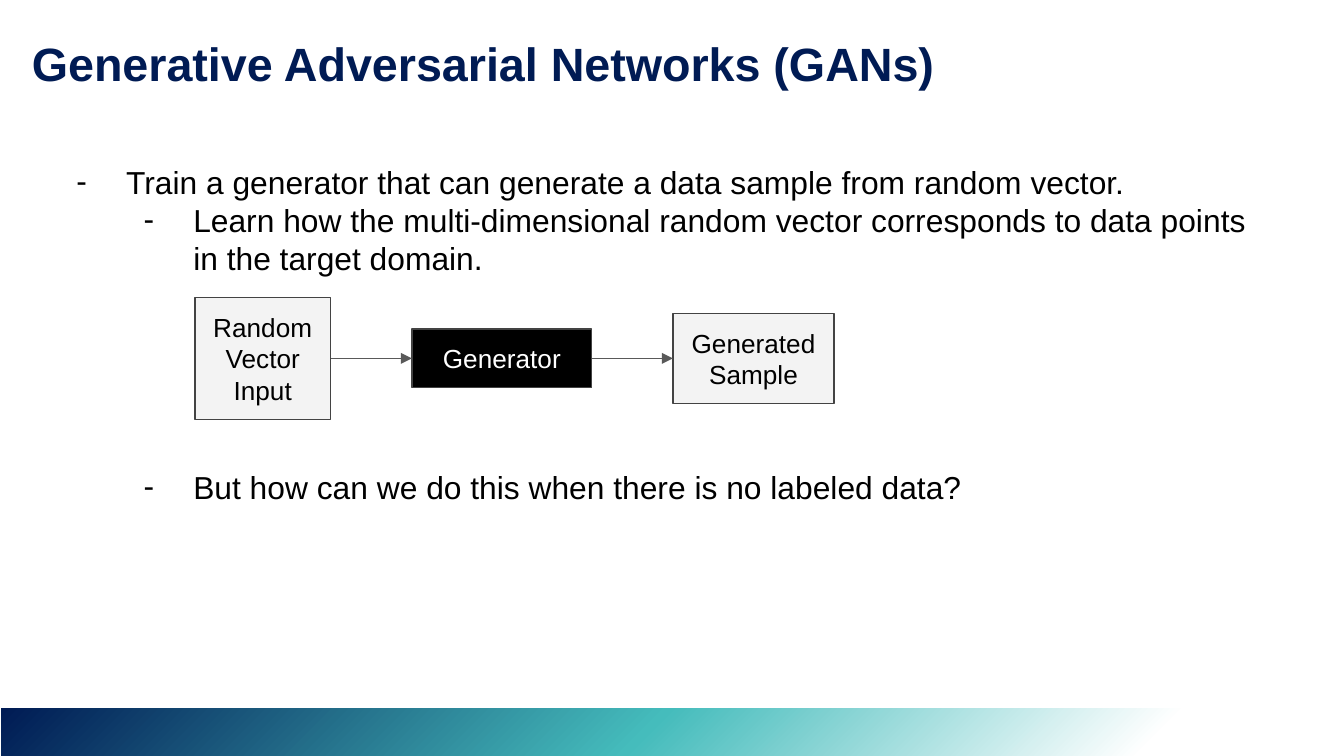
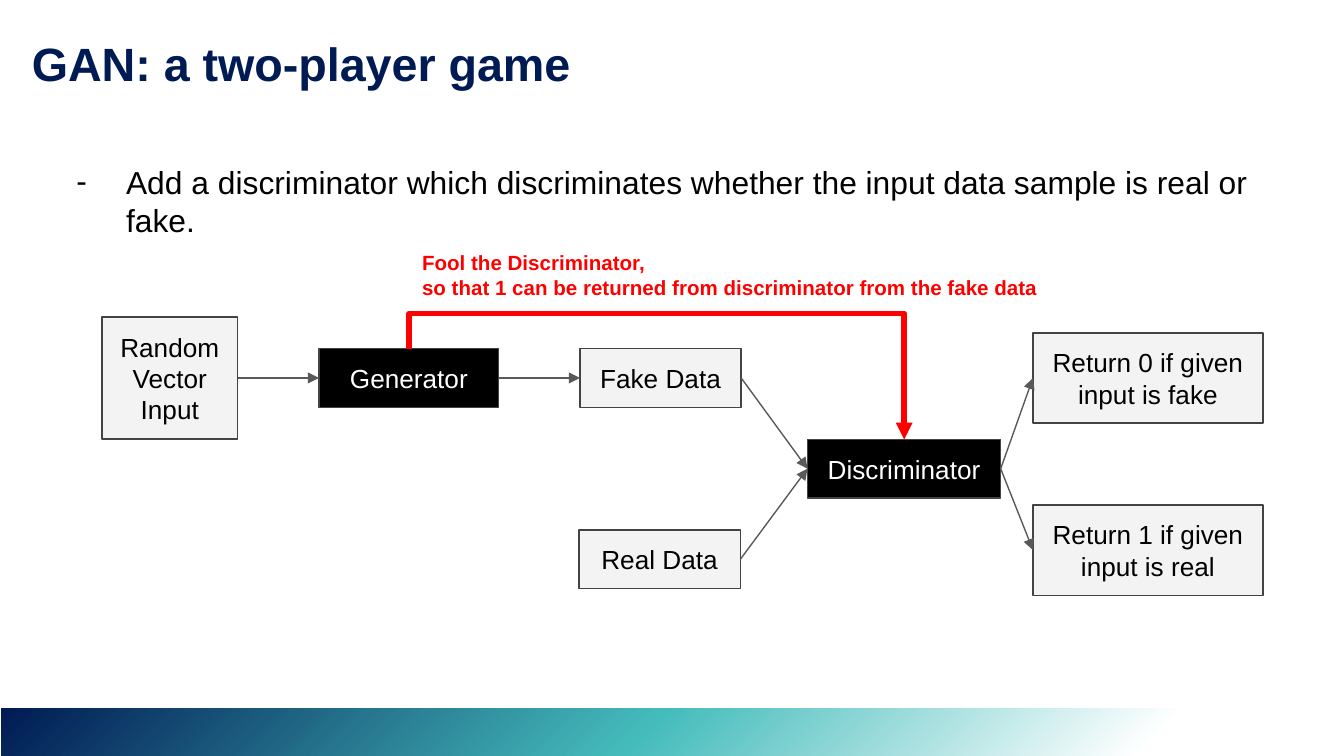
from lxml.etree import SubElement
from pptx import Presentation
from pptx.dml.color import RGBColor
from pptx.enum.shapes import MSO_CONNECTOR, MSO_SHAPE
from pptx.enum.text import MSO_ANCHOR, MSO_AUTO_SIZE, PP_ALIGN
from pptx.oxml import parse_xml
from pptx.oxml.ns import nsdecls, qn
from pptx.util import Pt

FONT = "Arial"
NAVY, TEAL, WHITE, BLACK = "001B54", "45BCBC", "FFFFFF", "000000"
PALE, EDGE, ARROW, RED = "F3F3F3", "434343", "595959", "FF0000"
INSET = 7.2
TOP, LEFT, BOTTOM, RIGHT = range(4)


def rgb(value):
    """Turn a hex string into a colour."""
    return RGBColor.from_string(value)


def write(tf, lines, size, color, bold=False, align=PP_ALIGN.LEFT):
    """Fill a text frame with paragraphs in one style."""
    tf.word_wrap = True
    tf.margin_left = tf.margin_right = tf.margin_top = tf.margin_bottom = Pt(INSET)
    tf.text = "\n".join(lines)
    for p in tf.paragraphs:
        p.alignment = align
        for r in p.runs:
            r.font.name, r.font.size, r.font.bold = FONT, Pt(size), bold
            r.font.color.rgb = rgb(color)


def add_text(s, box, lines, size, color, bold=False):
    """Add a text box at (left, top, width, height)."""
    tf = s.shapes.add_textbox(*map(Pt, box)).text_frame
    write(tf, lines, size, color, bold)
    return tf


def add_band(s, box):
    """Draw the gradient band at the foot of a slide."""
    sp = s.shapes.add_shape(MSO_SHAPE.RECTANGLE, *map(Pt, box))
    sp.shadow.inherit = False
    sp.line.fill.background()
    stops = "".join(
        f'<a:gs pos="{pos * 1000}"><a:srgbClr val="{color}"/></a:gs>'
        for pos, color in ((0, NAVY), (48, TEAL), (85, WHITE), (100, WHITE)))
    grad = parse_xml(
        f'<a:gradFill {nsdecls("a")}><a:gsLst>{stops}</a:gsLst><a:path path="circle">'
        '<a:fillToRect r="100000" b="100000"/></a:path></a:gradFill>')
    spPr = sp._element.spPr
    spPr.find(qn("a:prstGeom")).addnext(grad)
    spPr.find(qn("a:xfrm")).set("flipH", "1")


def add_frame(prs, title):
    """Add a slide with the shared band and title."""
    s = prs.slides.add_slide(prs.slide_layouts[6])
    add_band(s, (0.7, 379.4, 720, 26.6))
    tf = add_text(s, (10, 10.8, 700, 45.4), [title], 25, NAVY, True)
    tf.vertical_anchor = MSO_ANCHOR.MIDDLE
    return s


def add_bullets(s, box, items):
    """Add dash bullets given as (level, text)."""
    tf = add_text(s, box, [text for _, text in items], 17, BLACK)
    for p, (level, _) in zip(tf.paragraphs, items):
        p.level = level
        pPr = p._p.get_or_add_pPr()
        pPr.set("marL", str(Pt(36 * (level + 1))))
        pPr.set("indent", str(Pt(-26.6)))
        color = SubElement(pPr, qn("a:buClr"))
        SubElement(color, qn("a:srgbClr")).set("val", BLACK)
        SubElement(pPr, qn("a:buFont")).set("typeface", FONT)
        SubElement(pPr, qn("a:buChar")).set("char", "-")
    return tf


def add_node(s, left, middle, width, lines, rows=1, dark=False):
    """Add a box centred on a height and sized for its rows of text."""
    height = 2 * INSET + 17 * rows
    sp = s.shapes.add_shape(MSO_SHAPE.RECTANGLE, Pt(left), Pt(middle - height / 2),
                            Pt(width), Pt(height))
    sp.shadow.inherit = False
    sp.fill.solid()
    sp.fill.fore_color.rgb = rgb(BLACK if dark else PALE)
    sp.line.color.rgb = rgb(EDGE)
    sp.line.width = Pt(0.75)
    tf = sp.text_frame
    write(tf, lines, 14, WHITE if dark else BLACK, align=PP_ALIGN.CENTER)
    tf.vertical_anchor = MSO_ANCHOR.MIDDLE
    tf.auto_size = MSO_AUTO_SIZE.SHAPE_TO_FIT_TEXT
    return sp


def style_arrow(c, color, width):
    """Colour a connector and give it an arrowhead."""
    c.line.color.rgb = rgb(color)
    c.line.width = Pt(width)
    SubElement(c.line._get_or_add_ln(), qn("a:tailEnd")).set("type", "triangle")
    SubElement(c._element.spPr, qn("a:effectLst"))


def link(s, start, end):
    """Join the right side of one box to the left side of another."""
    c = s.shapes.add_connector(MSO_CONNECTOR.STRAIGHT, 0, 0, 0, 0)
    c.begin_connect(start, RIGHT)
    c.end_connect(end, LEFT)
    style_arrow(c, ARROW, 0.75)


def link_over(s, start, end, rise):
    """Run a red elbow arrow up from one box and down onto another."""
    x1, x2 = (sp.left + sp.width // 2 for sp in (start, end))
    run, drop = x2 - x1, end.top - start.top
    c = s.shapes.add_connector(MSO_CONNECTOR.ELBOW, 0, 0, 0, 0)
    c.left, c.top = (x1 + x2 - drop) // 2, (start.top + end.top - run) // 2
    c.width, c.height = drop, run
    spPr = c._element.spPr
    xfrm = spPr.find(qn("a:xfrm"))
    xfrm.set("rot", "16200000")
    xfrm.set("flipH", "1")
    gd = SubElement(spPr.find(qn("a:prstGeom")).find(qn("a:avLst")), qn("a:gd"))
    gd.set("name", "adj1")
    gd.set("fmla", f"val {round(-100000 * Pt(rise) / drop)}")
    style_arrow(c, RED, 3)


def add_flow(s, left, middle, result, rows=1):
    """Draw the chain from random vector through generator to a result."""
    gap, nodes = 43.5, []
    for width, lines, count, dark in ((72.8, ["Random Vector", "Input"], 3, False),
                                      (96.3, ["Generator"], 1, True),
                                      (86.4, [result], rows, False)):
        nodes.append(add_node(s, left, middle, width, lines, count, dark))
        left += width + gap
    for start, end in zip(nodes, nodes[1:]):
        link(s, start, end)
    return nodes


def add_game(s, left, middle):
    """Draw the generator and discriminator diagram."""
    _, generator, fake = add_flow(s, left, middle, "Fake Data")
    judge = add_node(s, left + 378, middle + 48.6, 103.5, ["Discriminator"], dark=True)
    real = add_node(s, left + 255.6, middle + 97.2, 86.4, ["Real Data"])
    for source in (fake, real):
        link(s, source, judge)
    for offset, text in ((0, "Return 0 if given input is fake"),
                         (92.2, "Return 1 if given input is real")):
        answer = add_node(s, left + 498.8, middle + offset, 123.2, [text], 2)
        link(s, judge, answer)
    link_over(s, generator, judge, 18.8)
    add_text(s, (left + 164.4, middle - 75.8, 391.6, 41),
             ["Fool the Discriminator,",
              "so that 1 can be returned from discriminator from the fake data"],
             11, RED, True)


def build_gans(prs):
    """Build the slide on the generator."""
    s = add_frame(prs, "Generative Adversarial Networks (GANs)")
    tf = add_bullets(s, (24.5, 80, 661.5, 275.8), [
        (0, "Train a generator that can generate a data sample from random vector."),
        (1, "Learn how the multi-dimensional random vector corresponds to data points "
            "in the target domain."),
        (1, "But how can we do this when there is no labeled data?")])
    tf.paragraphs[-1].space_before = Pt(102)
    add_flow(s, 104.4, 192, "Generated Sample", 2)


def build_game(prs):
    """Build the slide on the two-player game."""
    s = add_frame(prs, "GAN: a two-player game")
    add_bullets(s, (24.5, 80, 661.5, 69.8), [
        (0, "Add a discriminator which discriminates whether the input data sample "
            "is real or fake.")])
    add_game(s, 54.6, 202.5)


def main():
    """Build the deck and save it."""
    prs = Presentation()
    prs.slide_width, prs.slide_height = Pt(720), Pt(405)
    build_gans(prs)
    build_game(prs)
    prs.save("out.pptx")


if __name__ == "__main__":
    main()
